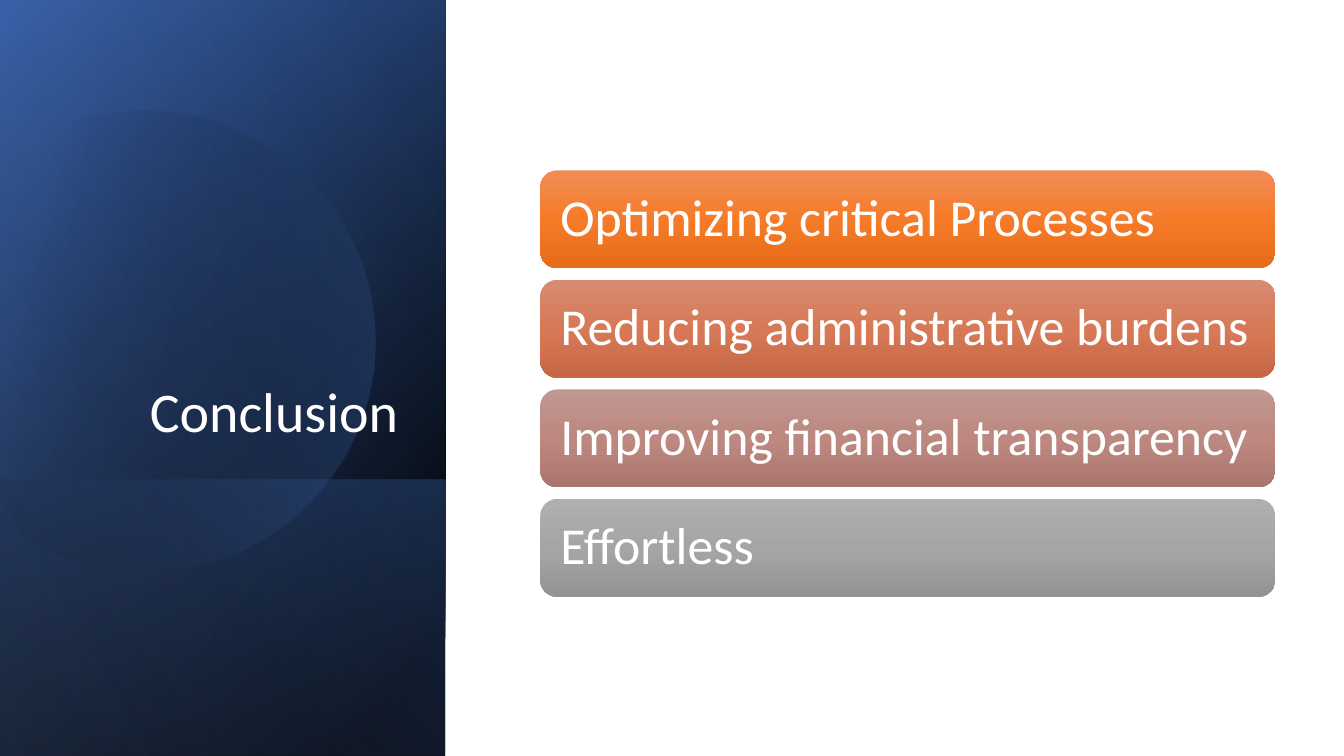
import math
from dataclasses import dataclass

import lxml.etree
import pptx
import pptx.dml.color
import pptx.enum.shapes
import pptx.enum.text
import pptx.oxml.ns
import pptx.util

SHAPE = pptx.enum.shapes.MSO_SHAPE
ALIGN = pptx.enum.text.PP_ALIGN
ANCHOR = pptx.enum.text.MSO_ANCHOR
qn = pptx.oxml.ns.qn
W, H = pptx.util.Inches(13.33), pptx.util.Inches(7.5)


@dataclass(frozen=True)
class Theme:
    font: str = "Calibri"
    title_size: int = 40
    bar_size: int = 37
    text: str = "FFFFFF"
    black: str = "000000"
    blue: str = "4472C4"
    deep_blue: str = "2F5597"
    pale_blue: str = "8FAADC"


T = Theme()


@dataclass(frozen=True)
class Stop:
    pos: int
    color: str
    alpha: int = 100


@dataclass(frozen=True)
class Panel:
    top: float  # percent of slide height, reaching down to the bottom edge
    angle: int
    stops: tuple[Stop, ...]


@dataclass(frozen=True)
class Bar:
    text: str
    colors: tuple[str, str, str]


# Left panel, layered from back to front
PANEL_WIDTH = 33.15  # percent of slide width
PANELS = [
    Panel(0, 50, (Stop(8, T.black), Stop(100, T.deep_blue))),
    Panel(0, 30, (Stop(0, T.black, 0), Stop(99, T.blue, 46))),
    Panel(63.47, 130, (Stop(2, T.blue, 29), Stop(100, T.black, 30))),
]
SHEEN = Panel(0, 120, (Stop(0, T.black, 0), Stop(99, T.pale_blue, 11)))

# Disc outline in percent of slide height: one point is a line, three a curve
DISC_TILT = 343.9
DISC_STOPS = (Stop(29, T.black, 0), Stop(100, T.blue, 43))
DISC_START = (19.87, 14.67)
DISC = [
    ((32.8, 14.93), (44.67, 23.6), (48.4, 36.67)),
    ((53.07, 52.93), (43.73, 69.73), (27.6, 74.4)),
    ((17.47, 77.33), (7.07, 74.8), (-0.4, 68.53)),
    ((-2, 67.07),),
    ((-2, 23.33),),
    ((0, 21.47),),
    ((3.07, 18.93), (6.67, 17.07), (10.67, 15.87)),
    ((13.73, 15.07), (16.8, 14.67), DISC_START),
]
DISC_CENTER = (21.13, 44.6)

# Bars: percent of slide width or height
BAR_LEFT, BAR_WIDTH = 40.21, 54.68
BAR_TOP, BAR_HEIGHT, BAR_PITCH = 22.53, 12.93, 14.49
BARS = [
    Bar("Optimizing critical Processes", ("F18C57", "F67B28", "E56C19")),
    Bar("Reducing administrative burdens", ("D78B72", "D77956", "C66846")),
    Bar("Improving financial transparency", ("C19791", "BC8880", "AA766E")),
    Bar("Effortless", ("AFAFAF", "A5A5A5", "939393")),
]


def px(share: float) -> int:
    return round(W * share / 100)


def py(share: float) -> int:
    return round(H * share / 100)


def paint(sp, stops: tuple[Stop, ...], angle: int) -> None:
    """Gradient fill, no outline, no shadow."""
    sp.shadow.inherit = False
    sp.line.fill.background()
    sp.fill.gradient()
    sp.fill.gradient_angle = 360 - angle
    gs_list = sp._element.spPr.find(".//" + qn("a:gsLst"))
    for gs in list(gs_list):
        gs_list.remove(gs)
    for stop in stops:
        gs = lxml.etree.SubElement(gs_list, qn("a:gs"), pos=str(stop.pos * 1000))
        color = lxml.etree.SubElement(gs, qn("a:srgbClr"), val=stop.color)
        if stop.alpha < 100:
            lxml.etree.SubElement(color, qn("a:alpha"), val=str(stop.alpha * 1000))


def write(tf, text: str, size: int, align, anchor) -> None:
    tf.word_wrap = True
    tf.vertical_anchor = anchor
    p = tf.paragraphs[0]
    p.alignment = align
    p.line_spacing = 0.9
    r = p.add_run()
    r.text = text
    r.font.name = T.font
    r.font.size = pptx.util.Pt(size)
    r.font.color.rgb = pptx.dml.color.RGBColor.from_string(T.text)


def add_panel(s, panel: Panel) -> None:
    """Mirrored rectangle turned a quarter, so its frame is laid sideways."""
    width, top = px(PANEL_WIDTH), py(panel.top)
    height = H - top
    shift = (width - height) // 2
    sp = s.shapes.add_shape(SHAPE.RECTANGLE, shift, top - shift, height, width)
    sp.rotation = 90
    sp._element.spPr.find(qn("a:xfrm")).set("flipH", "1")
    paint(sp, panel.stops, panel.angle)


def disc_points(steps: int = 24) -> list[tuple[float, float]]:
    points = [DISC_START]
    for segment in DISC:
        if len(segment) == 1:
            points.append(segment[0])
            continue
        knots = (points[-1], *segment)
        for i in range(1, steps + 1):
            t = i / steps
            weights = [math.comb(3, k) * t**k * (1 - t) ** (3 - k) for k in range(4)]
            points.append(tuple(sum(w * q[axis] for w, q in zip(weights, knots))
                                for axis in (0, 1)))
    return points


def add_disc(s) -> None:
    """Outline is turned level first, then the shape is tilted back."""
    a = math.radians(360 - DISC_TILT)
    cx, cy = DISC_CENTER
    level = [(py(cx + (x - cx) * math.cos(a) - (y - cy) * math.sin(a)),
              py(cy + (x - cx) * math.sin(a) + (y - cy) * math.cos(a)))
             for x, y in disc_points()]
    builder = s.shapes.build_freeform(*level[0])
    builder.add_line_segments(level[1:], close=True)
    sp = builder.convert_to_shape()
    sp.rotation = DISC_TILT
    paint(sp, DISC_STOPS, 30)


def add_title(s, text: str) -> None:
    sp = s.shapes.title
    sp.left, sp.top, sp.width, sp.height = px(4.8), py(24.53), px(25.58), py(34.93)
    s.shapes._spTree.append(sp._element)  # in front of the panel
    write(sp.text_frame, text, T.title_size, ALIGN.RIGHT, ANCHOR.BOTTOM)


def add_bar(s, row: int, bar: Bar) -> None:
    sp = s.shapes.add_shape(SHAPE.ROUNDED_RECTANGLE, px(BAR_LEFT),
                            py(BAR_TOP + row * BAR_PITCH), px(BAR_WIDTH), py(BAR_HEIGHT))
    sp.adjustments[0] = 0.17
    paint(sp, tuple(Stop(50 * i, c) for i, c in enumerate(bar.colors)), 90)
    tf = sp.text_frame
    inset = pptx.util.Inches(0.15)
    tf.margin_left = tf.margin_right = tf.margin_top = tf.margin_bottom = inset
    write(tf, bar.text, T.bar_size, ALIGN.LEFT, ANCHOR.MIDDLE)


def main() -> None:
    prs = pptx.Presentation()
    prs.slide_width, prs.slide_height = W, H
    s = prs.slides.add_slide(prs.slide_layouts[5])

    # Left panel
    for panel in PANELS:
        add_panel(s, panel)
    add_disc(s)
    add_panel(s, SHEEN)
    add_title(s, "Conclusion")

    # Conclusions
    for row, bar in enumerate(BARS):
        add_bar(s, row, bar)

    prs.save("out.pptx")


if __name__ == "__main__":
    main()
